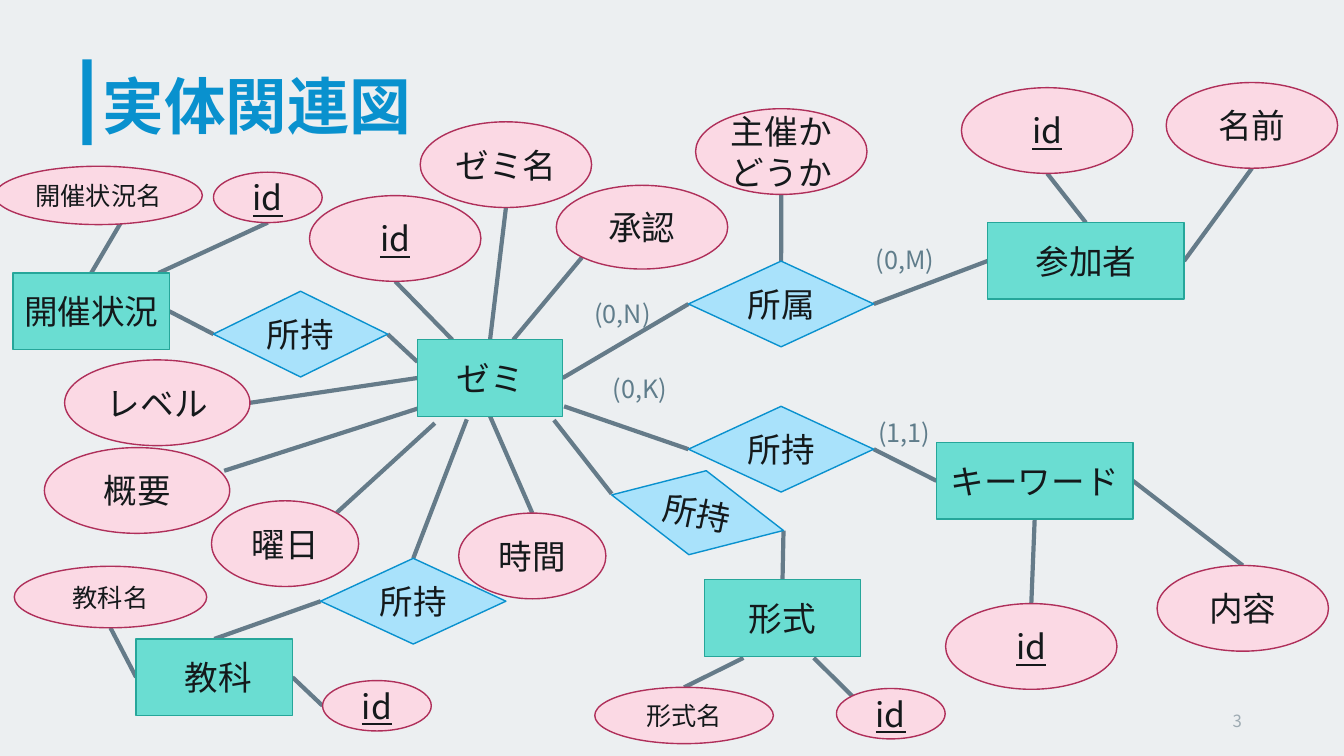
from dataclasses import dataclass
from enum import Enum

from lxml.etree import SubElement
from pptx import Presentation
from pptx.dml.color import RGBColor
from pptx.enum.shapes import MSO_CONNECTOR as Connector, MSO_SHAPE as Preset
from pptx.enum.text import MSO_ANCHOR as Anchor, PP_ALIGN as Align
from pptx.oxml.ns import qn
from pptx.util import Cm, Pt


@dataclass(frozen=True)
class Theme:
    font: str = "Noto Sans CJK JP"
    background: str = "ECEFF1"
    accent: str = "0991CE"
    ink: str = "14191B"
    link: str = "657B89"
    label: str = "607D8B"
    page: str = "9DAAB2"
    title_size: int = 44
    node_size: int = 24
    small_size: int = 18
    page_size: int = 12
    outline: int = 1
    link_width: int = 3


THEME = Theme()


class Kind(Enum):
    """Preset shape, fill and outline of each kind of node."""
    ATTRIBUTE = (Preset.OVAL, "FBD9E4", "AF2F5A")
    ENTITY = (Preset.RECTANGLE, "6ADDD2", "26A69A")
    RELATION = (Preset.FLOWCHART_DECISION, "A9E2FB", THEME.accent)


@dataclass(frozen=True)
class Node:
    """A diagram node; lengths in centimetres."""
    kind: Kind
    text: str
    left: float
    top: float
    width: float
    height: float
    size: int = THEME.node_size
    rotation: float = 0

    def point(self, share: tuple[float, float]) -> tuple[float, float]:
        return (self.left + share[0] * self.width,
                self.top + share[1] * self.height)


def entity(text: str, left: float, top: float, width: float = 3.94) -> Node:
    return Node(Kind.ENTITY, text, left, top, width, 1.93)


def relation(text: str, left: float, top: float, width: float = 4.67,
             rotation: float = 0) -> Node:
    return Node(Kind.RELATION, text, left, top, width, 2.16, rotation=rotation)


def attribute(text: str, left: float, top: float, width: float = 4.32,
              height: float = 2.16, size: int = THEME.node_size) -> Node:
    return Node(Kind.ATTRIBUTE, text, left, top, width, height, size)


def small_id(left: float, top: float) -> Node:
    return attribute("id", left, top, 2.74, 1.27)


# Nodes, from back to front: attributes, entities, relations
SMALL = THEME.small_size
NODES = {
    "seminar name": attribute("ゼミ名", 10.59, 3.07),
    "seminar id": attribute("id", 7.8, 4.93),
    "approval": attribute("承認", 14.02, 4.67, height=2.11),
    "level": attribute("レベル", 1.63, 9.07, 4.67),
    "summary": attribute("概要", 1.12, 11.28, 4.67),
    "weekday": attribute("曜日", 5.33, 12.62, 3.71),
    "time": attribute("時間", 11.56, 12.93, 3.71),
    "host": attribute("主催かどうか", 17.53, 2.74),
    "person id": attribute("id", 24.23, 2.21),
    "person name": attribute("名前", 29.39, 2.08),
    "keyword id": attribute("id", 23.83, 15.21),
    "content": attribute("内容", 29.16, 14.25),
    "status name": attribute("開催状況名", -0.13, 4.19, 5.23, 1.47, SMALL),
    "status id": small_id(5.38, 4.34),
    "subject name": attribute("教科名", 0.36, 14.27, 4.85, 1.55, SMALL),
    "subject id": small_id(8.13, 17.15),
    "format name": attribute("形式名", 14.99, 17.32, 4.5, 1.42, SMALL),
    "format id": small_id(21.08, 17.35),
    "seminar": entity("ゼミ", 10.52, 8.56, 3.66),
    "keyword": entity("キーワード", 23.6, 11.15, 4.95),
    "person": entity("参加者", 24.89, 5.61, 4.95),
    "status": entity("開催状況", 0.33, 6.88),
    "format": entity("形式", 17.75, 14.61),
    "subject": entity(" 教科", 3.43, 16.1),
    "belongs": relation("所属", 17.35, 6.58),
    "has keyword": relation("所持", 17.35, 10.24),
    "has status": relation("所持", 5.38, 7.34, 4.39),
    "has format": relation("所持", 15.37, 11.84, 4.42, 11.7),
    "has subject": relation("所持", 8.08, 14.07),
}


@dataclass(frozen=True)
class Link:
    """Joins two nodes; each end is a share of its node's width and height."""
    start: str
    start_share: tuple[float, float]
    end: str
    end_share: tuple[float, float]


TOP, LEFT, BOTTOM, RIGHT = (0.5, 0), (0, 0.5), (0.5, 1), (1, 0.5)
LINKS = [
    Link("seminar", RIGHT, "belongs", LEFT),
    Link("seminar", BOTTOM, "time", TOP),
    Link("seminar", (1.01, 0.87), "has keyword", LEFT),
    Link("seminar", TOP, "seminar name", BOTTOM),
    Link("seminar", (0.94, 1.05), "has format", (0.01, 0.28)),
    Link("seminar", (0.12, 1.09), "weekday", (0.85, 0.14)),
    Link("seminar", LEFT, "level", RIGHT),
    Link("seminar", (0.24, 0), "seminar id", BOTTOM),
    Link("seminar", (0.34, 1.04), "has subject", TOP),
    Link("seminar", (0, 0.29), "has status", RIGHT),
    Link("seminar", (0.66, 0), "approval", (0.15, 0.86)),
    Link("seminar", (0, 0.9), "summary", (0.97, 0.27)),
    Link("belongs", TOP, "host", BOTTOM),
    Link("belongs", RIGHT, "person", LEFT),
    Link("person", TOP, "person id", BOTTOM),
    Link("person", RIGHT, "person name", BOTTOM),
    Link("has keyword", RIGHT, "keyword", LEFT),
    Link("keyword", BOTTOM, "keyword id", TOP),
    Link("keyword", RIGHT, "content", TOP),
    Link("has status", LEFT, "status", RIGHT),
    Link("status", (0.93, 0), "status id", BOTTOM),
    Link("status", TOP, "status name", (0.61, 0.95)),
    Link("has format", (0.99, 0.71), "format", TOP),
    Link("format", (0.7, 1.02), "format id", (0.15, 0.16)),
    Link("format", (0.25, 1.02), "format name", TOP),
    Link("has subject", LEFT, "subject", TOP),
    Link("subject", RIGHT, "subject id", LEFT),
    Link("subject", LEFT, "subject name", BOTTOM),
]


@dataclass(frozen=True)
class Caption:
    """Free text on the slide; lengths in centimetres."""
    text: str
    left: float
    top: float
    width: float = 2.1
    height: float = 1.02
    size: int = THEME.small_size
    color: str = THEME.label
    bold: bool = False
    align: Align = Align.LEFT
    anchor: Anchor = Anchor.TOP
    spacing: float = 1.0


CAPTIONS = [
    Caption("実体関連図", 2.34, 1.68, 29.21, 2.16, THEME.title_size,
            THEME.accent, True, anchor=Anchor.MIDDLE, spacing=0.9),
    Caption("3", 23.93, 17.65, 7.62, 1.02, THEME.page_size, THEME.page,
            align=Align.RIGHT, anchor=Anchor.MIDDLE),
    Caption("(0,N)", 14.73, 7.39),
    Caption("(0,M)", 21.82, 6.02),
    Caption("(0,K)", 15.19, 9.27),
    Caption("(1,1)", 21.89, 10.39),
]


def rgb(color: str) -> RGBColor:
    return RGBColor.from_string(color)


def add_run(paragraph, text: str, size: int, color: str, bold: bool = False,
            underline: bool = False) -> None:
    run = paragraph.add_run()
    run.text = text
    font = run.font
    font.size, font.bold, font.underline = Pt(size), bold, underline
    font.color.rgb = rgb(color)
    font.name = THEME.font
    SubElement(run._r.get_or_add_rPr(), qn("a:ea"), typeface=THEME.font)


def draw_bar(slide) -> None:
    bar = slide.shapes.add_shape(Preset.RECTANGLE, Cm(2.08), Cm(1.5), Cm(0.23), Cm(2.16))
    bar.shadow.inherit = False
    bar.fill.solid()
    bar.fill.fore_color.rgb = rgb(THEME.accent)
    bar.line.fill.background()


def draw_link(slide, link: Link) -> None:
    start = NODES[link.start].point(link.start_share)
    end = NODES[link.end].point(link.end_share)
    connector = slide.shapes.add_connector(
        Connector.STRAIGHT, *(Cm(value) for value in start + end))
    connector.line.color.rgb = rgb(THEME.link)
    connector.line.width = Pt(THEME.link_width)
    SubElement(connector._element.spPr, qn("a:effectLst"))


def draw_node(slide, node: Node) -> None:
    preset, fill, outline = node.kind.value
    shape = slide.shapes.add_shape(
        preset, Cm(node.left), Cm(node.top), Cm(node.width), Cm(node.height))
    shape.rotation = node.rotation
    shape.shadow.inherit = False
    shape.fill.solid()
    shape.fill.fore_color.rgb = rgb(fill)
    shape.line.color.rgb = rgb(outline)
    shape.line.width = Pt(THEME.outline)
    frame = shape.text_frame
    frame.word_wrap, frame.vertical_anchor = True, Anchor.MIDDLE
    frame.margin_left = frame.margin_right = 0
    paragraph = frame.paragraphs[0]
    paragraph.alignment = Align.CENTER
    add_run(paragraph, node.text, node.size, THEME.ink, underline=node.text == "id")


def draw_caption(slide, caption: Caption) -> None:
    box = slide.shapes.add_textbox(Cm(caption.left), Cm(caption.top),
                                   Cm(caption.width), Cm(caption.height))
    frame = box.text_frame
    frame.word_wrap, frame.vertical_anchor = True, caption.anchor
    paragraph = frame.paragraphs[0]
    paragraph.alignment, paragraph.line_spacing = caption.align, caption.spacing
    add_run(paragraph, caption.text, caption.size, caption.color, caption.bold)


def main() -> None:
    presentation = Presentation()
    presentation.slide_width, presentation.slide_height = Cm(33.87), Cm(19.05)
    slide = presentation.slides.add_slide(presentation.slide_layouts[6])
    slide.background.fill.solid()
    slide.background.fill.fore_color.rgb = rgb(THEME.background)
    draw_bar(slide)
    for link in LINKS:
        draw_link(slide, link)
    for node in NODES.values():
        draw_node(slide, node)
    for caption in CAPTIONS:
        draw_caption(slide, caption)
    presentation.save("out.pptx")


if __name__ == "__main__":
    main()
